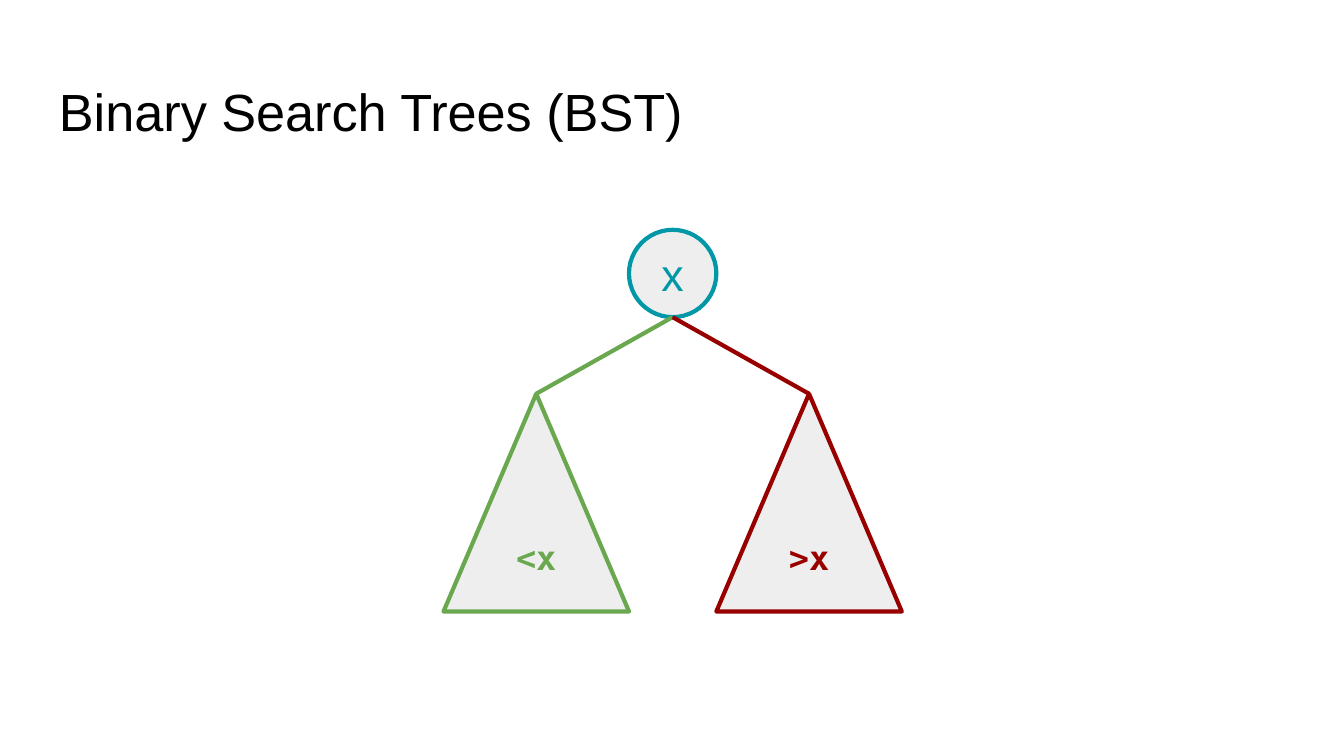
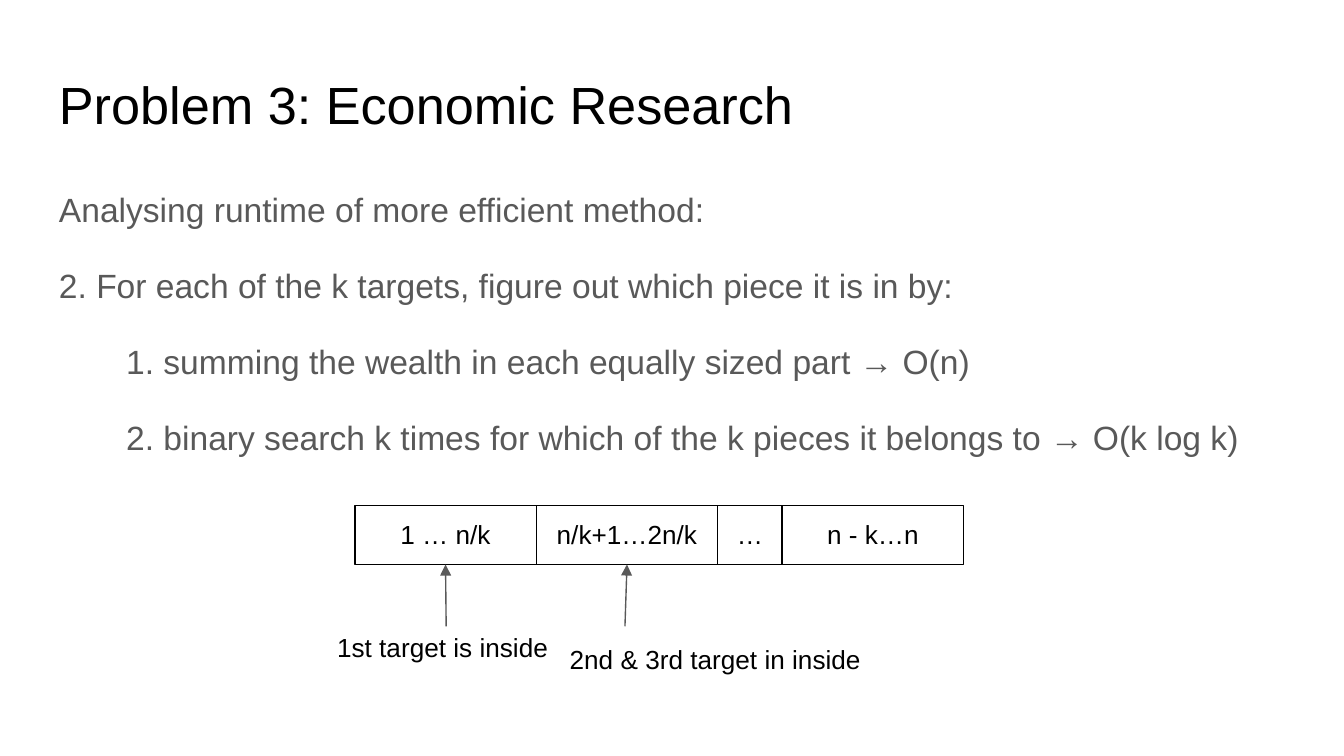
from itertools import accumulate

from lxml.etree import SubElement
from pptx import Presentation
from pptx.dml.color import RGBColor
from pptx.enum.shapes import MSO_CONNECTOR as Connector, MSO_SHAPE as Shape
from pptx.enum.text import MSO_ANCHOR as Anchor, PP_ALIGN as Align
from pptx.oxml.ns import qn
from pptx.util import Inches, Pt

BLACK, GREY, PALE = "000000", "595959", "EEEEEE"
TEAL, GREEN, RED = "0097A7", "6AA84F", "980000"
SANS, MONO = "Arial", "DejaVu Sans Mono"

SLIDE_WIDTH = 10
SLIDE_HEIGHT = SLIDE_WIDTH * 9 / 16
TITLE_BOX = (0.34, 0.49, 9.32, 0.63)
BODY_BOX = (0.34, 1.26, 9.32, 2.93)
TREE_BOX = (3.3, 1.71, 3.41, 2.84)
ARRAY_BOX = (2.64, 3.76, 4.53, 0.44)


def color(hex_string):
    return RGBColor.from_string(hex_string)


def set_values(target, values):
    for name, value in values.items():
        setattr(target, name, value)


def write(shape, lines, size, hue, anchor=Anchor.TOP, align=Align.LEFT,
          font=SANS, bold=False, spacing=None, gap=0, indents=None):
    """Fill a shape with paragraphs; indents maps a line index to inches."""
    frame = shape.text_frame
    margin = Inches(0.1)
    set_values(frame, {
        "word_wrap": True, "vertical_anchor": anchor,
        "margin_left": margin, "margin_right": margin,
        "margin_top": margin, "margin_bottom": margin,
    })
    for index, line in enumerate(lines):
        paragraph = frame.add_paragraph() if index else frame.paragraphs[0]
        paragraph.text = line
        paragraph.alignment = align
        if spacing:
            paragraph.line_spacing = spacing
        if index and gap:
            paragraph.space_before = Pt(gap)
        if indents and index in indents:
            properties = paragraph._p.get_or_add_pPr()
            properties.set("marL", str(Inches(indents[index])))
            properties.set("indent", "0")
        set_values(paragraph.font, {"name": font, "size": Pt(size), "bold": bold})
        paragraph.font.color.rgb = color(hue)


def add_text(slide, box, lines, size, hue=BLACK, **style):
    write(slide.shapes.add_textbox(*map(Inches, box)), lines, size, hue, **style)


def add_outlined(slide, kind, box, text, size, hue, width, fill=None, **style):
    shape = slide.shapes.add_shape(kind, *map(Inches, box))
    shape.shadow.inherit = False
    if fill:
        shape.fill.solid()
        shape.fill.fore_color.rgb = color(fill)
    else:
        shape.fill.background()
    shape.line.color.rgb = color(hue)
    shape.line.width = Pt(width)
    write(shape, [text], size, hue, align=Align.CENTER, **style)
    return shape


def add_link(slide, start, target, site, hue, width, arrow=False):
    """Draw a line from a point to a connection site of the target."""
    link = slide.shapes.add_connector(Connector.STRAIGHT, *map(Inches, start * 2))
    link.end_connect(target, site)
    link.line.color.rgb = color(hue)
    link.line.width = Pt(width)
    if arrow:
        SubElement(link.line._get_or_add_ln(), qn("a:tailEnd"), type="triangle")
    SubElement(link._element.spPr, qn("a:effectLst"))


def add_title(slide, title, spacing=None):
    add_text(slide, TITLE_BOX, [title], 28, spacing=spacing)


def add_tree(slide, box):
    left, top, width, height = box
    node, subtree_width, subtree_height = 0.65, 1.38, 1.62
    center = left + width / 2
    add_outlined(slide, Shape.OVAL, (center - node / 2, top, node, node),
                 "x", 24, TEAL, 2.25, PALE, anchor=Anchor.MIDDLE)
    subtrees = [("<x", left, GREEN), (">x", left + width - subtree_width, RED)]
    for label, subtree_left, hue in subtrees:
        subtree = add_outlined(
            slide, Shape.ISOSCELES_TRIANGLE,
            (subtree_left, top + height - subtree_height, subtree_width, subtree_height),
            label, 18, hue, 2.25, PALE, anchor=Anchor.MIDDLE, font=MONO, bold=True)
        add_link(slide, (center, top + node), subtree, 0, hue, 2.25)


def add_array(slide, box):
    """Draw the row of pieces, with arrows and notes on the first two."""
    left, top, width, height = box
    dots = 0.48
    piece = (width - dots) / 3
    labels = ["1 … n/k", "n/k+1…2n/k", "…", "n - k…n"]
    widths = [piece, piece, dots, piece]
    lefts = list(accumulate(widths[:-1], initial=left))
    cells = [add_outlined(slide, Shape.RECTANGLE, (x, top, w, height), label, 14, BLACK, 0.75)
             for label, x, w in zip(labels, lefts, widths)]
    notes = [
        ("1st target is inside", 0.68, -0.23, 0.84, 1.89),
        ("2nd & 3rd target in inside", 2.01, 1.5, 0.93, 3.02),
    ]
    for cell, (note, arrow_dx, dx, dy, note_width) in zip(cells, notes):
        add_link(slide, (left + arrow_dx, top + 0.9), cell, 2, GREY, 0.75, arrow=True)
        add_text(slide, (left + dx, top + dy, note_width, height), [note], 14)


def build_bst_slide(slide):
    add_title(slide, "Binary Search Trees (BST)")
    add_tree(slide, TREE_BOX)


def build_problem_slide(slide):
    add_title(slide, "Problem 3: Economic Research", spacing=0.9)
    steps = [
        "Analysing runtime of more efficient method:",
        "2. For each of the k targets, figure out which piece it is in by:",
        "1. summing the wealth in each equally sized part → O(n)",
        "2. binary search k times for which of the k pieces it belongs to → O(k log k)",
    ]
    add_text(slide, BODY_BOX, steps, 18, GREY, spacing=1.15, gap=16,
             indents={2: 0.5, 3: 0.5})
    add_array(slide, ARRAY_BOX)


def main():
    deck = Presentation()
    set_values(deck, {"slide_width": Inches(SLIDE_WIDTH),
                      "slide_height": Inches(SLIDE_HEIGHT)})
    for build in (build_bst_slide, build_problem_slide):
        build(deck.slides.add_slide(deck.slide_layouts[6]))
    deck.save("out.pptx")


if __name__ == "__main__":
    main()
